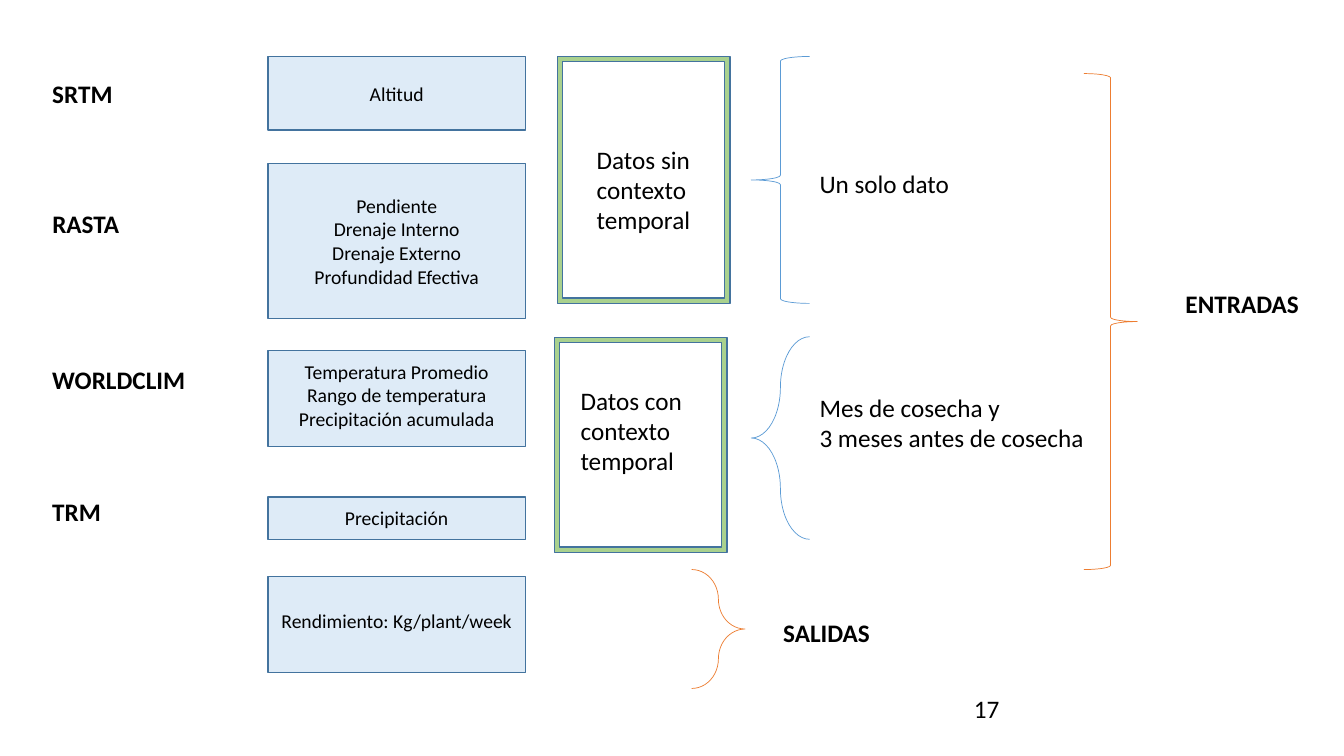
from pptx import Presentation
from pptx.util import Inches, Pt
from pptx.dml.color import RGBColor
from pptx.enum.shapes import MSO_SHAPE as Shape
from pptx.enum.text import PP_ALIGN as Align, MSO_ANCHOR as Anchor

BLUE, SKY, GREEN, ORANGE = "43739E", "5B9BD5", "A9D18E", "ED7D31"
PALE, BLACK = "DEEBF7", "000000"

BOX_X, BOX_W = 2.66, 2.55
BOXES = [
    (0.56, 0.73, 0.05, "Altitud"),
    (1.62, 1.54, 0.05, "Pendiente\nDrenaje Interno\nDrenaje Externo\nProfundidad Efectiva"),
    (3.48, 0.95, 0.12, "Temperatura Promedio\nRango de temperatura\nPrecipitación acumulada"),
    (4.93, 0.42, 0.05, "Precipitación"),
    (5.72, 0.95, 0.12, "Rendimiento: Kg/plant/week"),
]
SOURCES = [
    (0.42, 0.73, 2.24, "SRTM"),
    (0.42, 2.02, 1.65, "RASTA"),
    (0.42, 3.57, 2.06, "WORLDCLIM"),
    (0.42, 4.87, 2.06, "TRM"),
]
ROLES = [
    (11.66, 2.81, 1.34, "ENTRADAS"),
    (7.67, 6.08, 1.07, "SALIDAS"),
]
NOTES = [
    (8.03, 1.62, 1.5, "Un solo dato"),
    (8.03, 3.84, 2.85, "Mes de cosecha y\n3 meses antes de cosecha"),
    (5.82, 1.38, 1.16, "Datos sin\ncontexto\ntemporal"),
    (5.66, 3.77, 1.22, "Datos con\ncontexto\ntemporal"),
]
PAGE = (9.56, 6.83, 3.11, "17")
FRAMES = [(5.53, 0.56, 1.71, 2.45), (5.5, 3.35, 1.71, 2.13)]
BRACES = [
    (Shape.RIGHT_BRACE, (7.45, 0.56, 0.58, 2.45), 0.08, SKY),
    (Shape.RIGHT_BRACE, (7.45, 3.34, 0.58, 2.01), 1.06, SKY),
    (Shape.LEFT_BRACE, (6.86, 5.65, 0.53, 1.18), 0.72, ORANGE),
    (Shape.LEFT_BRACE, (10.75, 0.73, 0.53, 4.92), 0.08, ORANGE),
]


def color(code):
    return RGBColor.from_string(code)


def write(frame, text, size, bold=False, align=Align.LEFT):
    frame.text = text
    for para in frame.paragraphs:
        para.alignment = align
        for run in para.runs:
            run.font.name = "Calibri"
            run.font.size = Pt(size)
            run.font.bold = bold
            run.font.color.rgb = color(BLACK)


def label(slide, x, y, w, text, bold=False, wrap=False):
    high = 0.1 + 0.3 * len(text.split("\n"))
    box = slide.shapes.add_textbox(Inches(x), Inches(y), Inches(w), Inches(high))
    box.text_frame.word_wrap = wrap
    write(box.text_frame, text, 18, bold)


def draw(slide, kind, area, line, width, fill=None):
    shape = slide.shapes.add_shape(kind, *map(Inches, area))
    shape.shadow.inherit = False
    shape.line.color.rgb = color(line)
    shape.line.width = Pt(width)
    if fill:
        shape.fill.solid()
        shape.fill.fore_color.rgb = color(fill)
    else:
        shape.fill.background()
    return shape


def main():
    deck = Presentation()
    deck.slide_width, deck.slide_height = Inches(13.33), Inches(7.5)
    slide = deck.slides.add_slide(deck.slide_layouts[6])

    for y, h, low, text in BOXES:
        box = draw(slide, Shape.RECTANGLE, (BOX_X, y, BOX_W, h), BLUE, 1, PALE)
        frame = box.text_frame
        frame.word_wrap = True
        frame.vertical_anchor = Anchor.MIDDLE
        frame.margin_bottom = Inches(low)
        write(frame, text, 14, align=Align.CENTER)

    for area in FRAMES:
        draw(slide, Shape.FRAME, area, BLUE, 1, GREEN).adjustments[0] = 0.03

    for kind, area, curve, line in BRACES:
        brace = draw(slide, kind, area, line, 0.5)
        brace.rotation = 180
        brace.adjustments[0] = curve

    for item in SOURCES:
        label(slide, *item, bold=True, wrap=True)
    for item in ROLES:
        label(slide, *item, bold=True)
    for item in NOTES:
        label(slide, *item)
    label(slide, *PAGE, wrap=True)

    deck.save("out.pptx")


if __name__ == "__main__":
    main()
